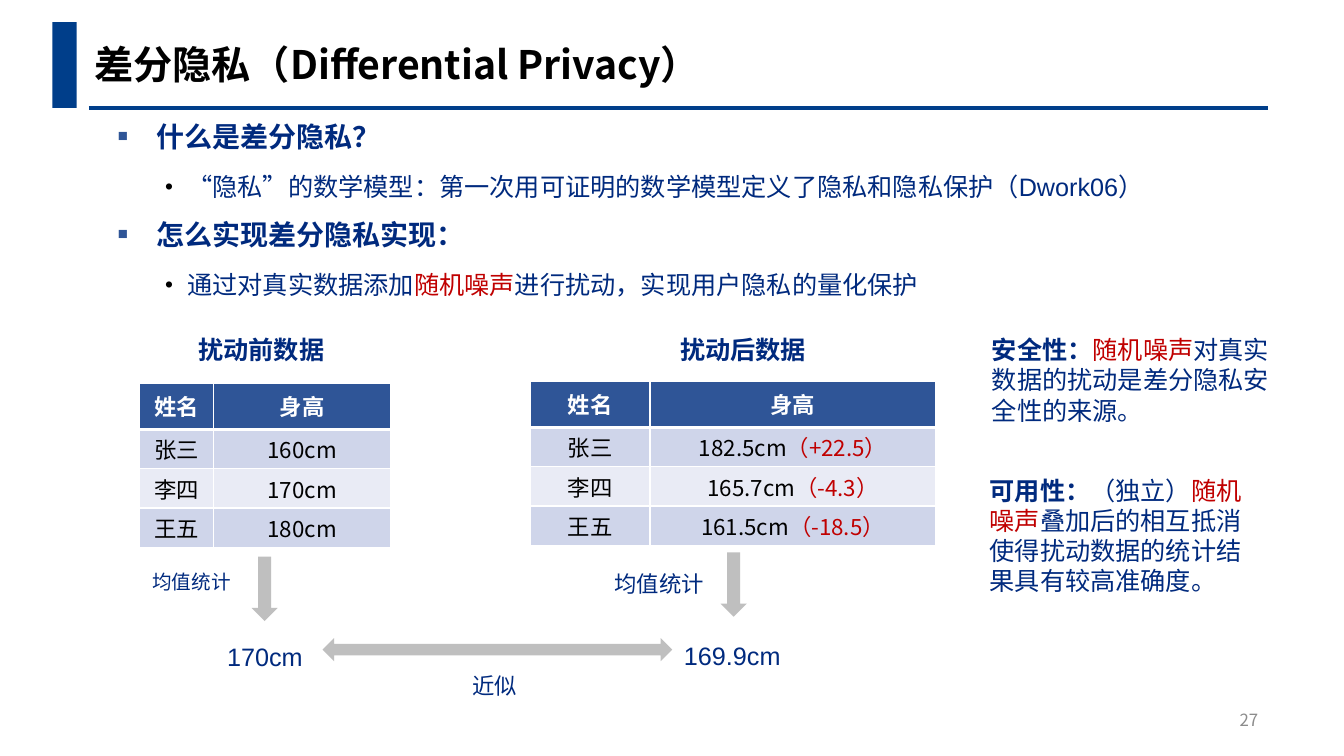
from lxml.etree import SubElement
from pptx import Presentation
from pptx.dml.color import RGBColor
from pptx.enum.shapes import MSO_CONNECTOR, MSO_SHAPE
from pptx.enum.text import MSO_ANCHOR, MSO_AUTO_SIZE, PP_ALIGN
from pptx.oxml.ns import qn
from pptx.util import Cm, Pt

CJK, LATIN = "Noto Sans CJK SC", "Arial"
NAVY, RED, BLACK, WHITE = "002A7E", "C00000", "000000", "FFFFFF"
BRAND, HEADER, GREY = "003E8A", "2F5597", "BFBFBF"
BANDS = ("CFD5EA", "E9EBF5")


def color(hex_string):
    return RGBColor.from_string(hex_string)


def add_text(paragraph, text, size=18, font=LATIN, fill=NAVY, bold=False):
    run = paragraph.add_run()
    run.text = text
    run.font.size, run.font.name, run.font.bold = Pt(size), font, bold
    run.font.color.rgb = color(fill)
    SubElement(run._r.get_or_add_rPr(), qn("a:ea"), typeface=CJK)


def set_indent(paragraph, margin, first):
    properties = paragraph._p.get_or_add_pPr()
    properties.set("marL", str(Cm(margin)))
    properties.set("indent", str(Cm(first)))
    return properties


def set_bullet(paragraph, char, fill, percent, margin, first):
    properties = set_indent(paragraph, margin, first)
    bullet_color = SubElement(properties, qn("a:buClr"))
    SubElement(bullet_color, qn("a:srgbClr"), val=fill)
    SubElement(properties, qn("a:buSzPct"), val=str(percent * 1000))
    SubElement(properties, qn("a:buFont"), typeface=LATIN)
    SubElement(properties, qn("a:buChar"), char=char)


def place(shape, left, top, width, height):
    shape.left, shape.top = Cm(left), Cm(top)
    shape.width, shape.height = Cm(width), Cm(height)


def set_frame(frame, inset_x, inset_y, anchor=MSO_ANCHOR.TOP):
    frame.word_wrap = True
    frame.auto_size = MSO_AUTO_SIZE.NONE
    frame.vertical_anchor = anchor
    frame.margin_left = frame.margin_right = Cm(inset_x)
    frame.margin_top = frame.margin_bottom = Cm(inset_y)


def add_label(slide, box, parts, align=PP_ALIGN.CENTER, inset=(0.25, 0.13),
              indent=(0, 0), anchor=MSO_ANCHOR.TOP, spacing=1.0):
    """parts: (text, format) pairs that form one paragraph."""
    label = slide.shapes.add_textbox(*map(Cm, box))
    set_frame(label.text_frame, *inset, anchor)
    paragraph = label.text_frame.paragraphs[0]
    paragraph.alignment, paragraph.line_spacing = align, spacing
    set_indent(paragraph, *indent)
    for text, style in parts:
        add_text(paragraph, text, **style)


def add_block(slide, preset, box, fill):
    block = slide.shapes.add_shape(preset, *map(Cm, box))
    block.shadow.inherit = False
    block.fill.solid()
    block.fill.fore_color.rgb = color(fill)
    block.line.fill.background()


def add_title_rule(slide):
    rule = slide.shapes.add_connector(
        MSO_CONNECTOR.STRAIGHT, Cm(2.24), Cm(2.72), Cm(31.95), Cm(2.72))
    rule.line.color.rgb = color(BRAND)
    rule.line.width = Pt(2.25)
    SubElement(rule._element.spPr, qn("a:effectLst"))


def fill_title(title):
    place(title, 2.13, 0.89, 24.79, 1.45)
    set_frame(title.text_frame, 0.25, 0.13, MSO_ANCHOR.MIDDLE)
    paragraph = title.text_frame.paragraphs[0]
    paragraph.alignment = PP_ALIGN.LEFT
    add_text(paragraph, "差分隐私（Differential Privacy）", size=28, font=CJK,
             fill=BLACK, bold=True)


def fill_outline(body):
    place(body, 2.84, 2.87, 26.49, 5.03)
    set_frame(body.text_frame, 0.13, 0.13)
    sections = [
        ("什么是差分隐私？",
         [("“隐私”的数学模型：第一次用可证明的数学模型定义了隐私和隐私保护（Dwork06）", NAVY)]),
        ("怎么实现差分隐私实现：",
         [("通过对真实数据添加", NAVY), ("随机噪声", RED),
          ("进行扰动，实现用户隐私的量化保护", NAVY)]),
    ]
    for number, (question, answer) in enumerate(sections):
        heading = (body.text_frame.add_paragraph() if number
                   else body.text_frame.paragraphs[0])
        set_bullet(heading, "■", HEADER, 60, 0.97, -0.97)
        heading.line_spacing = 1.0
        heading.space_before = Pt(11 if number else 0)
        add_text(heading, question, size=20, font=CJK, bold=True)

        detail = body.text_frame.add_paragraph()
        detail.level = 1
        set_bullet(detail, "•", BLACK, 90, 1.75, -0.56)
        detail.line_spacing, detail.space_before = Pt(35), Pt(0)
        for text, fill in answer:
            add_text(detail, text, fill=fill)


def set_borders(cell, top, bottom):
    properties = cell._tc.get_or_add_tcPr()
    widths = {"a:lnL": 1, "a:lnR": 1, "a:lnT": top, "a:lnB": bottom}
    for position, (side, width) in enumerate(widths.items()):
        border = SubElement(properties, qn(side), w=str(Pt(width)))
        SubElement(SubElement(border, qn("a:solidFill")), qn("a:srgbClr"), val=WHITE)
        properties.insert(position, border)


def add_heights(slide, left, top, widths, people):
    """people: (name, height, noise) rows under the header."""
    rows = [("姓名", "身高", "")] + people
    heights = [1.17] + [0.99] * len(people)
    table = slide.shapes.add_table(
        len(rows), 2, Cm(left), Cm(top), Cm(sum(widths)), Cm(sum(heights))).table
    for column, width in zip(table.columns, widths):
        column.width = Cm(width)
    for r, (name, height, noise) in enumerate(rows):
        table.rows[r].height = Cm(heights[r])
        for c, parts in enumerate([[(name, None)], [(height, None), (noise, RED)]]):
            cell = table.cell(r, c)
            cell.fill.solid()
            cell.fill.fore_color.rgb = color(BANDS[(r - 1) % 2] if r else HEADER)
            cell.vertical_anchor = MSO_ANCHOR.MIDDLE
            cell.margin_top = cell.margin_bottom = Cm(0.05)
            set_borders(cell, 3 if r == 1 else 1, 1 if r else 3)
            paragraph = cell.text_frame.paragraphs[0]
            paragraph.alignment = PP_ALIGN.CENTER
            for text, accent in parts:
                if text:
                    add_text(paragraph, text, size=16, font=CJK, bold=r == 0,
                             fill=accent or (BLACK if r else WHITE))


def main():
    deck = Presentation()
    deck.slide_width, deck.slide_height = Cm(33.87), Cm(19.05)
    slide = deck.slides.add_slide(deck.slide_layouts[1])

    # Heading and outline
    add_title_rule(slide)
    add_block(slide, MSO_SHAPE.RECTANGLE, (1.32, 0.56, 0.61, 2.16), BRAND)
    fill_title(slide.shapes.title)
    fill_outline(slide.placeholders[1])

    # Data before and after the noise
    for caption, left in (("扰动前数据", 5), ("扰动后数据", 17.14)):
        add_label(slide, (left, 8.43, 4.5, 0.84), [(caption, {"bold": True})],
                  align=PP_ALIGN.LEFT, inset=(0, 0))
    add_heights(slide, 3.51, 9.65, (1.88, 4.45),
                [("张三", "160cm", ""), ("李四", "170cm", ""), ("王五", "180cm", "")])
    add_heights(slide, 13.36, 9.6, (3.02, 7.21),
                [("张三", "182.5cm", "（+22.5）"), ("李四", "165.7cm", "（-4.3）"),
                 ("王五", "161.5cm", "（-18.5）")])

    # Averages and their comparison
    for text, size, box in (
            ("均值统计", 14, (3.33, 14.12, 3, 1.24)),
            ("均值统计", 16, (14.78, 14.1, 3.66, 1.24)),
            ("170cm", 18, (5.33, 15.88, 2.69, 1.09)),
            ("169.9cm", 18, (16.46, 15.85, 3.99, 1.09)),
            ("近似", 16, (11.28, 16.66, 2.39, 1.24))):
        add_label(slide, box, [(text, {"size": size})], inset=(0.13, 0.13), spacing=1.2)
    for left, top in ((6.34, 14.03), (18.16, 13.92)):
        add_block(slide, MSO_SHAPE.DOWN_ARROW, (left, top, 0.66, 1.62), GREY)
    add_block(slide, MSO_SHAPE.LEFT_RIGHT_ARROW, (8.13, 16.08, 8.81, 0.58), GREY)

    # Properties
    add_label(slide, (23.93, 8.43, 8.36, 2.77),
              [("安全性：", {"bold": True}), ("随机噪声", {"fill": RED}),
               ("对真实数据的扰动是差分隐私安全性的来源。", {})],
              align=PP_ALIGN.LEFT, inset=(0, 0), indent=(1.07, 0))
    add_label(slide, (23.62, 11.84, 8.36, 3.86),
              [("可用性：", {"bold": True}), ("（独立）", {}), ("随机噪声", {"fill": RED}),
               ("叠加后的相互抵消使得扰动数据的统计结果具有较高准确度。", {})],
              align=PP_ALIGN.LEFT, indent=(1.07, 0))

    # Page number
    add_label(slide, (26.24, 17.63, 5.72, 1.02),
              [("27", {"size": 12, "font": CJK, "fill": "8C8C8C"})],
              align=PP_ALIGN.RIGHT, anchor=MSO_ANCHOR.MIDDLE)

    deck.save("out.pptx")


if __name__ == "__main__":
    main()
